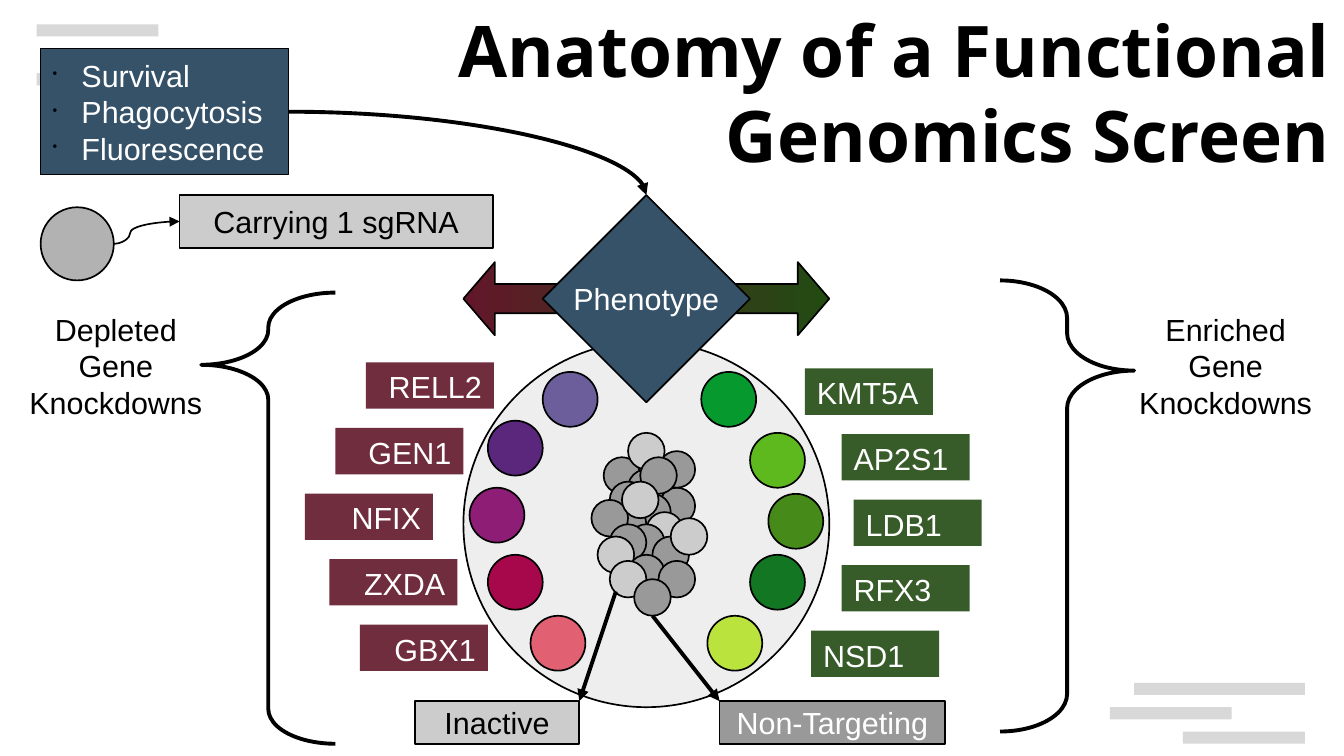
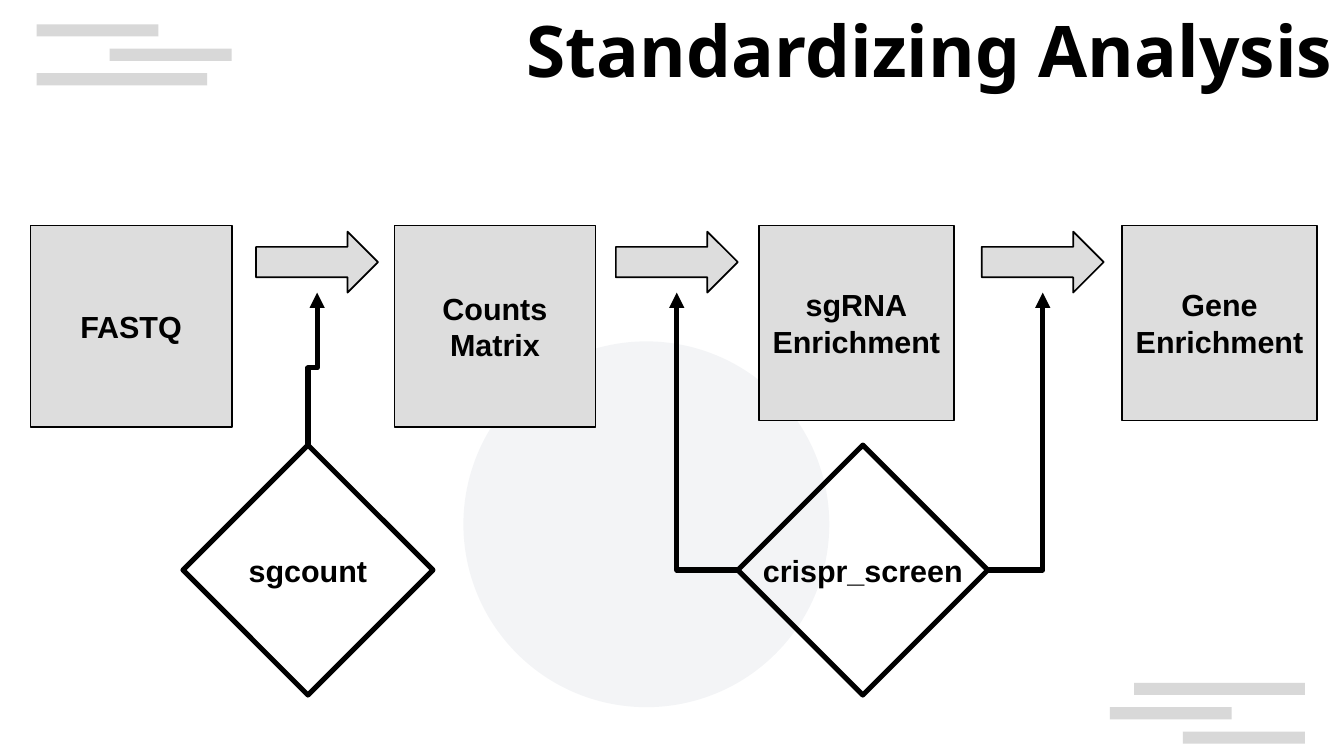
from dataclasses import dataclass

from lxml.etree import SubElement as sub
from pptx import Presentation
from pptx.dml.color import RGBColor as RGB
from pptx.enum.shapes import MSO_CONNECTOR as Conn, MSO_SHAPE as Shape
from pptx.enum.text import MSO_ANCHOR as Anchor, PP_ALIGN as Align
from pptx.oxml.ns import qn
from pptx.util import Pt


@dataclass(frozen=True)
class Theme:
    black: str = "000000"
    white: str = "FFFFFF"
    navy: str = "355269"
    red: str = "611729"
    green: str = "224B12"
    slate: str = "8D99AE"
    pale: str = "EEEEEE"
    box: str = "DDDDDD"
    light: str = "CCCCCC"
    cell: str = "B2B2B2"
    dark: str = "999999"
    body: str = "Arial"
    head: str = "Noto Sans"
    size: float = 18
    title: float = 42
    thin: float = 1
    mid: float = 2.3
    thick: float = 3


T = Theme()


def put(slide, kind, x, y, w, h, fill=None, line=None, alpha=None, text="",
        color=T.black, align=Align.CENTER, bold=False, size=T.size, font=T.body):
    """Add a shape, or a text box when kind is None."""
    area = [Pt(v) for v in (x, y, w, h)]
    if kind is None:
        item = slide.shapes.add_textbox(*area)
    else:
        item = slide.shapes.add_shape(kind, *area)
        item.shadow.inherit = False
        if fill:
            item.fill.solid()
            item.fill.fore_color.rgb = RGB.from_string(fill)
        else:
            item.fill.background()
        if alpha:
            tint = item.element.spPr.find(qn("a:solidFill"))[0]
            sub(tint, qn("a:alpha"), val=str(alpha * 1000))
        if line is None:
            item.line.fill.background()
        else:
            item.line.color.rgb = RGB.from_string(T.black)
            item.line.width = Pt(line)
    if text:
        frame = item.text_frame
        frame.text = text
        frame.word_wrap = kind is None or align != Align.CENTER
        boxed = kind is not None and line is not None
        frame.vertical_anchor = Anchor.MIDDLE if boxed else Anchor.TOP
        for para in frame.paragraphs:
            para.alignment = align
            for run in para.runs:
                run.font.name, run.font.size = font, Pt(size)
                run.font.bold = bold
                run.font.color.rgb = RGB.from_string(color)
    return item


def link(slide, kind, form, x1, y1, x2, y2, width, adj=None, turn=0):
    """Add a connector of the given preset form with an arrowhead."""
    wire = slide.shapes.add_connector(kind, Pt(x1), Pt(y1), Pt(x2), Pt(y2))
    wire.line.color.rgb = RGB.from_string(T.black)
    wire.line.width = Pt(width)
    prop = wire.element.spPr
    geom = prop.find(qn("a:prstGeom"))
    geom.set("prst", form)
    if adj:
        sub(geom.find(qn("a:avLst")), qn("a:gd"), name="adj1", fmla=f"val {adj}")
    if turn:
        prop.find(qn("a:xfrm")).set("rot", str(turn * 60000))
    sub(prop.find(qn("a:ln")), qn("a:tailEnd"), type="triangle")
    sub(prop, qn("a:effectLst"))


deck = Presentation()
deck.slide_width, deck.slide_height = Pt(793.44), Pt(446.4)

# Shared look: corner bars, centre circle, title
BARS = [(669.6, 403.2, 100.8), (655.2, 417.6, 72), (698.4, 432, 72),
        (21.6, 43.2, 100.8), (64.8, 28.8, 72), (21.6, 14.4, 72)]
PAGES = [
    ("Anatomy of a Functional Genomics Screen", (216, 576, 121.68),
     dict(fill=T.pale, line=T.thin)),
    ("Standardizing Analysis", (291.6, 501.84, 72), dict(fill=T.slate, alpha=10)),
]
for name, (x, w, h), look in PAGES:
    slide = deck.slides.add_slide(deck.slide_layouts[6])
    for left, top, wide in BARS:
        put(slide, Shape.RECTANGLE, left, top, wide, 7.2, T.light, alpha=75)
    put(slide, Shape.OVAL, 273.6, 201.6, 216, 216, **look)
    put(slide, None, x, 0, w, h, text=name, align=Align.RIGHT, bold=True,
        size=T.title, font=T.head)
screen, flow = deck.slides

# Screen: phenotype axis
axis = put(screen, Shape.LEFT_RIGHT_ARROW, 273.6, 154.8, 216, 43.2, T.red, T.thin)
axis.adjustments[0], axis.adjustments[1] = 0.4, 0.43
axis.fill.gradient()
axis.fill.gradient_angle = 0
for stop, hue, pos in zip(axis.fill.gradient_stops, (T.red, T.green), (0, 1)):
    stop.color.rgb = RGB.from_string(hue)
    stop.position = pos
put(screen, Shape.DIAMOND, 320.4, 115.2, 122.4, 122.4, T.navy, T.thin,
    text="Phenotype", color=T.white)

# Screen: genes as (label, label x, ball x, ball y, ball colour)
SIDES = [
    (T.red, Align.RIGHT, 214, [
        ("RELL2", 216, 320.4, 219.6, "6B5E9B"),
        ("GEN1", 198, 288, 248.4, "5B277D"),
        ("NFIX", 180, 277.2, 288, "8D1D75"),
        ("ZXDA", 194.4, 288, 327.6, "A7074B"),
        ("GBX1", 212.4, 313.2, 363.6, "E16173")]),
    (T.green, Align.LEFT, 217.6, [
        ("KMT5A", 475.2, 414, 219.6, "069A2E"),
        ("AP2S1", 496.8, 442.8, 255.6, "5EB91E"),
        ("LDB1", 504, 453.6, 291.6, "468A1A"),
        ("RFX3", 496.8, 442.8, 327.6, "127622"),
        ("NSD1", 478.8, 417.6, 363.6, "BBE33D")]),
]
for back, align, top, genes in SIDES:
    for i, (gene, x, left, y, hue) in enumerate(genes):
        put(screen, Shape.OVAL, left, y, 32.4, 32.4, hue, T.thin)
        put(screen, Shape.RECTANGLE, x, top + i * 38.7, 75.6, 27.36, back,
            alpha=90, text=gene, color=T.white, align=align)

# Screen: central cluster, in grid steps from its top left corner
STEP = 3.6
DOTS = [(2, 4), (11, 9), (11, 3), (6, 0), (6, 6), (3, 8), (7, 10), (3, 12),
        (9, 13), (0, 11), (6, 15), (3, 15), (10, 17), (6, 20), (1, 17),
        (13, 14), (8, 4), (5, 8), (3, 21), (11, 21), (7, 24)]
IDLE = {(6, 0), (9, 13), (1, 17), (13, 14), (5, 8), (3, 21)}
for dot in DOTS:
    put(screen, Shape.OVAL, 349.2 + dot[0] * STEP, 255.6 + dot[1] * STEP,
        21.6, 21.6, T.light if dot in IDLE else T.dark, T.thin)

# Screen: braces with their captions
BRACES = [
    (Shape.LEFT_BRACE, 118.8, 172.8, 0.26, 0.16, 7.2, "Depleted"),
    (Shape.RIGHT_BRACE, 590.4, 165.6, 0.28, 0.2, 662.4, "Enriched"),
]
for kind, x, y, curl, tip, left, word in BRACES:
    brace = put(screen, kind, x, y, 79.2, 266.4, line=T.mid)
    brace.adjustments[0], brace.adjustments[1] = curl, tip
    put(screen, None, left, 180, 122.4, 87.84, text=f"{word} Gene\nKnockdowns")

# Screen: cluster key
KEYS = [
    ("Inactive", 244.8, 97.2, T.light, T.black, (363.6, 349.2, 342, 414)),
    ("Non-Targeting", 424.8, 133.2, T.dark, T.white, (385.2, 363.6, 424.8, 414)),
]
for word, x, w, back, ink, ends in KEYS:
    put(screen, Shape.RECTANGLE, x, 414, w, 25.2, back, T.thin, text=word, color=ink)
    link(screen, Conn.STRAIGHT, "line", *ends, T.mid)

# Screen: readouts
reads = put(screen, Shape.RECTANGLE, 24, 28.8, 146.4, 74.4, T.navy, 0,
            text="Survival\nPhagocytosis\nFluorescence", color=T.white,
            align=Align.LEFT)
for para in reads.text_frame.paragraphs:
    prop = para._p.get_or_add_pPr()
    prop.set("marL", str(Pt(17)))
    prop.set("indent", str(Pt(-17)))
    sub(sub(prop, qn("a:buClr")), qn("a:srgbClr"), val=T.black)
    sub(prop, qn("a:buSzPct"), val="45000")
    sub(prop, qn("a:buChar"), char="•")
link(screen, Conn.CURVE, "curvedConnector2", 170.4, 66, 381.6, 115.2, T.mid)

# Screen: single cell
put(screen, Shape.OVAL, 24, 122.4, 43.2, 43.2, T.cell, T.thin)
put(screen, Shape.RECTANGLE, 106, 115.2, 185, 31.2, T.light, T.thin,
    text="Carrying 1 sgRNA")
link(screen, Conn.CURVE, "curvedConnector3", 67.2, 144, 106, 130.8, T.thin, adj=25100)

# Flow: data stages and the arrows between them
STAGES = [("FASTQ", 18, 118.8), ("Counts\nMatrix", 232.8, 118.8),
          ("sgRNA\nEnrichment", 448, 115.2), ("Gene\nEnrichment", 662.4, 115.2)]
for word, x, side in STAGES:
    put(flow, Shape.RECTANGLE, x, 133.2, side, side, T.box, T.thin,
        text=word, bold=True)
for x in (151.2, 363.6, 579.6):
    put(flow, Shape.RIGHT_ARROW, x, 136.8, 72, 36, T.box, T.thin)

# Flow: tools and the steps they drive
for tool, x in (("sgcount", 108), ("crispr_screen", 435.6)):
    put(flow, Shape.DIAMOND, x, 262.8, 147.6, 147.6, line=T.thick,
        text=tool, bold=True)
for x1, x2 in ((435.6, 399.6), (583.2, 615.6)):
    link(flow, Conn.ELBOW, "bentConnector2", x1, 336.6, x2, 172.8, T.thick)
link(flow, Conn.ELBOW, "bentConnector3", 229.5, 220.5, 139.5, 215.1, T.thick,
     adj=50600, turn=90)

deck.save("out.pptx")
